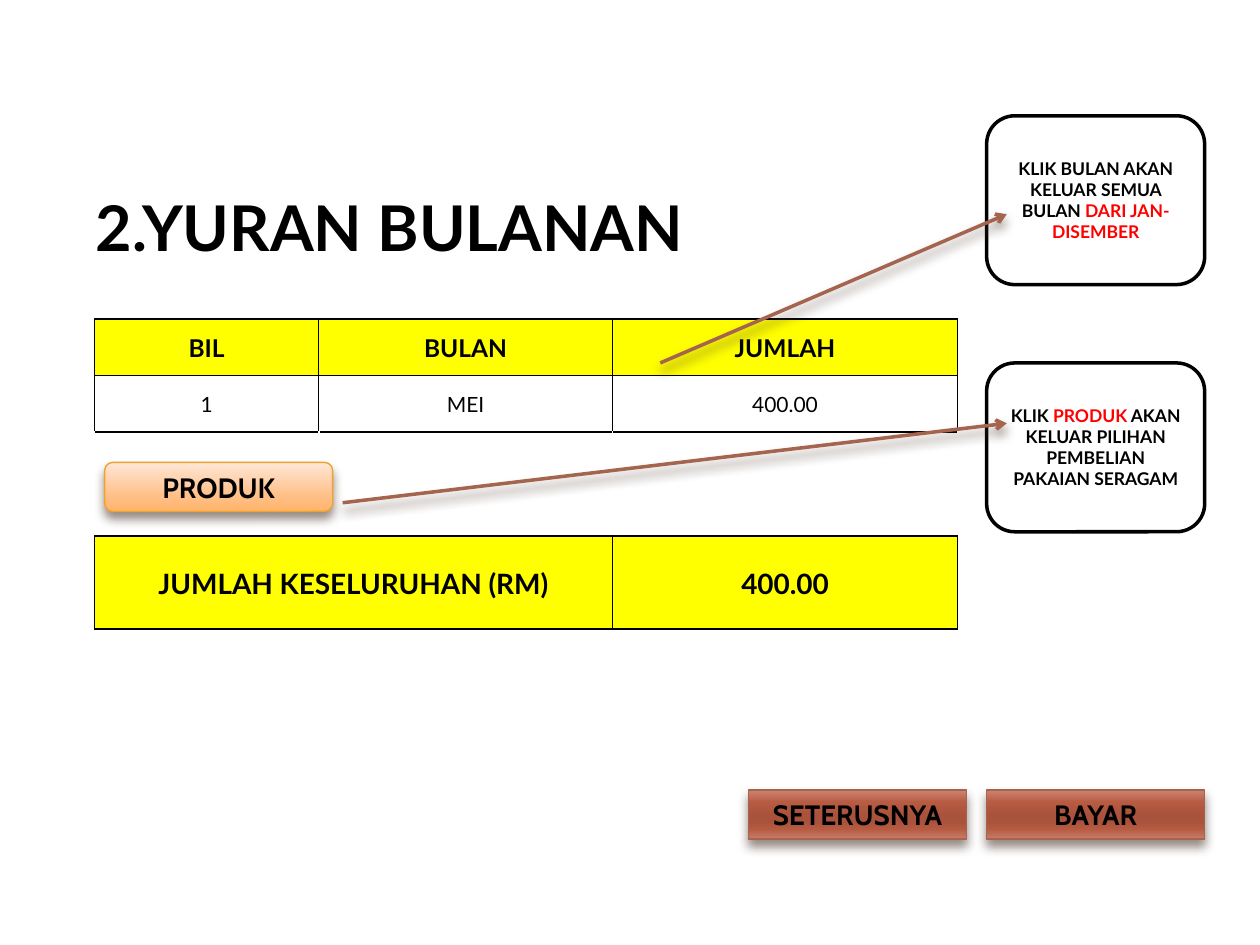
import dataclasses

import lxml.etree
import pptx
import pptx.dml.color
import pptx.enum.dml
import pptx.enum.shapes
import pptx.enum.text
import pptx.oxml.ns
import pptx.util

Pt = pptx.util.Pt
RGB = pptx.dml.color.RGBColor.from_string
qn = pptx.oxml.ns.qn
SHAPES = pptx.enum.shapes.MSO_SHAPE


@dataclasses.dataclass(frozen=True)
class Theme:
    black: str = "000000"
    white: str = "FFFFFF"
    yellow: str = "FFFF00"
    red: str = "FF0000"
    brown: str = "A5644E"
    orange: str = "F0A22E"
    shadow: str = "4E3B30"
    orange_stops: tuple = ((0, "FFE7D7"), (72, "FFBE84"), (100, "FFB468"))
    brown_stops: tuple = ((0, "CD8473"), (25, "B75B42"), (50, "AA533C"),
                          (65, "AA533C"), (80, "B65B42"), (100, "C77D6B"))
    body_font: str = "Lato"
    button_font: str = "Cabin"
    title: int = 36
    total: int = 16
    header: int = 14
    body: int = 12
    note: int = 10


theme = Theme()


def write_text(text_frame, runs, size, font=theme.body_font, bold=True,
               align=pptx.enum.text.PP_ALIGN.CENTER):
    """Write (text, colour) runs as one paragraph."""
    text_frame.word_wrap = True
    paragraph = text_frame.paragraphs[0]
    paragraph.alignment = align
    for text, colour in runs:
        run = paragraph.add_run()
        run.text = text
        run.font.name = font
        run.font.size = Pt(size)
        run.font.bold = bold
        run.font.color.rgb = RGB(colour)


def add_shadow(properties):
    """Drop a soft shadow straight down; call after the line is set."""
    effects = lxml.etree.SubElement(properties, qn("a:effectLst"))
    shadow = lxml.etree.SubElement(effects, qn("a:outerShdw"), blurRad=str(Pt(6)),
                                   dist=str(Pt(4)), dir="5400000", rotWithShape="0")
    colour = lxml.etree.SubElement(shadow, qn("a:srgbClr"), val=theme.shadow)
    lxml.etree.SubElement(colour, qn("a:alpha"), val="60000")


presentation = pptx.Presentation()
presentation.slide_width, presentation.slide_height = Pt(720), Pt(540)
slide = presentation.slides.add_slide(presentation.slide_layouts[6])

# Fee table: title, gap, header, month, gap, total
column_widths = (128.2, 167.8, 197.3)
row_heights = (62.6, 31, 32.4, 32.4, 59.3, 53.3)
table = slide.shapes.add_table(6, 3, Pt(54), Pt(88.6), Pt(sum(column_widths)),
                               Pt(sum(row_heights))).table
table.first_row = table.horz_banding = False
for column, width in zip(table.columns, column_widths):
    column.width = Pt(width)
for row, height in zip(table.rows, row_heights):
    row.height = Pt(height)
table.cell(0, 0).merge(table.cell(0, 2))
table.cell(5, 0).merge(table.cell(5, 1))

# Row: texts by column, type size, bold
table_rows = {
    0: ({0: "2.YURAN BULANAN"}, theme.title, True),
    2: ({0: "BIL", 1: "BULAN", 2: "JUMLAH"}, theme.header, True),
    3: ({0: "1", 1: "MEI", 2: "400.00"}, theme.body, False),
    5: ({0: "JUMLAH KESELURUHAN (RM)", 2: "400.00"}, theme.total, True),
}
for row, (texts, size, bold) in table_rows.items():
    for column, text in texts.items():
        cell = table.cell(row, column)
        cell.margin_left = cell.margin_top = cell.margin_right = Pt(0.72)
        cell.margin_bottom = 0
        is_title = row == 0
        cell.vertical_anchor = (pptx.enum.text.MSO_ANCHOR.BOTTOM if is_title
                                else pptx.enum.text.MSO_ANCHOR.MIDDLE)
        write_text(cell.text_frame, [(text, theme.black)], size, bold=bold,
                   align=(pptx.enum.text.PP_ALIGN.LEFT if is_title
                          else pptx.enum.text.PP_ALIGN.CENTER))

# Cell borders and fills
for row in range(6):
    for column in range(3):
        cell = table.cell(row, column)
        borders = {}
        if row in (2, 3, 5):
            borders = {"lnL": 1 if column == 0 else 0.5,
                       "lnR": 1 if column == 2 else 0.5, "lnT": 1, "lnB": 1}
        elif row == 4:
            borders = {"lnT": 1, "lnB": 1}
        elif row == 1:
            borders = {"lnB": 1}
        properties = cell._tc.get_or_add_tcPr()
        for tag, width in borders.items():
            line = lxml.etree.SubElement(properties, qn("a:" + tag), w=str(Pt(width)))
            fill = lxml.etree.SubElement(line, qn("a:solidFill"))
            lxml.etree.SubElement(fill, qn("a:srgbClr"), val=theme.black)
        if row in (2, 5):
            cell.fill.solid()
            cell.fill.fore_color.rgb = RGB(theme.yellow)
        else:
            cell.fill.background()

# Notes at the right
notes = (
    (66.2, [("KLIK BULAN AKAN KELUAR SEMUA BULAN ", theme.black),
            ("DARI JAN-DISEMBER", theme.red)]),
    (207.4, [("KLIK ", theme.black), ("PRODUK", theme.red),
             (" AKAN KELUAR PILIHAN PEMBELIAN PAKAIAN SERAGAM", theme.black)]),
)
for top, runs in notes:
    note = slide.shapes.add_shape(SHAPES.ROUNDED_RECTANGLE, Pt(563.8), Pt(top),
                                  Pt(124.6), Pt(96.5))
    note.shadow.inherit = False
    note.fill.solid()
    note.fill.fore_color.rgb = RGB(theme.white)
    note.line.color.rgb = RGB(theme.black)
    note.line.width = Pt(2)
    note.text_frame.vertical_anchor = pptx.enum.text.MSO_ANCHOR.MIDDLE
    write_text(note.text_frame, runs, theme.note)

# Buttons
buttons = (
    ("PRODUK", SHAPES.ROUNDED_RECTANGLE, 59.8, 264.2, 130.3,
     theme.orange_stops, theme.orange),
    ("SETERUSNYA", SHAPES.RECTANGLE, 427.7, 451.4, 124.6,
     theme.brown_stops, theme.brown),
    ("BAYAR", SHAPES.RECTANGLE, 563.8, 451.4, 124.6,
     theme.brown_stops, theme.brown),
)
for text, kind, left, top, width, stops, line_colour in buttons:
    button = slide.shapes.add_shape(kind, Pt(left), Pt(top), Pt(width), Pt(28.1))
    button.fill.gradient()
    button.fill.gradient_angle = 270
    stop_list = button._element.spPr.find(".//" + qn("a:gsLst"))
    stop_list.clear()
    for position, colour in stops:
        stop = lxml.etree.SubElement(stop_list, qn("a:gs"), pos=str(position * 1000))
        lxml.etree.SubElement(stop, qn("a:srgbClr"), val=colour)
    button.line.color.rgb = RGB(line_colour)
    button.line.width = Pt(0.79)
    add_shadow(button._element.spPr)
    button.text_frame.vertical_anchor = pptx.enum.text.MSO_ANCHOR.MIDDLE
    write_text(button.text_frame, [(text, theme.black)], theme.total,
               font=theme.button_font)

# Arrows to the notes
for start_x, start_y, end_x, end_y in ((377.3, 207.4, 575.3, 122.4),
                                       (195.8, 287.3, 575.3, 241.9)):
    arrow = slide.shapes.add_connector(pptx.enum.shapes.MSO_CONNECTOR.STRAIGHT,
                                       Pt(start_x), Pt(start_y), Pt(end_x), Pt(end_y))
    arrow.line.color.rgb = RGB(theme.brown)
    arrow.line.width = Pt(2)
    lxml.etree.SubElement(arrow.line._get_or_add_ln(), qn("a:tailEnd"), type="arrow")
    add_shadow(arrow._element.spPr)

presentation.save("out.pptx")
